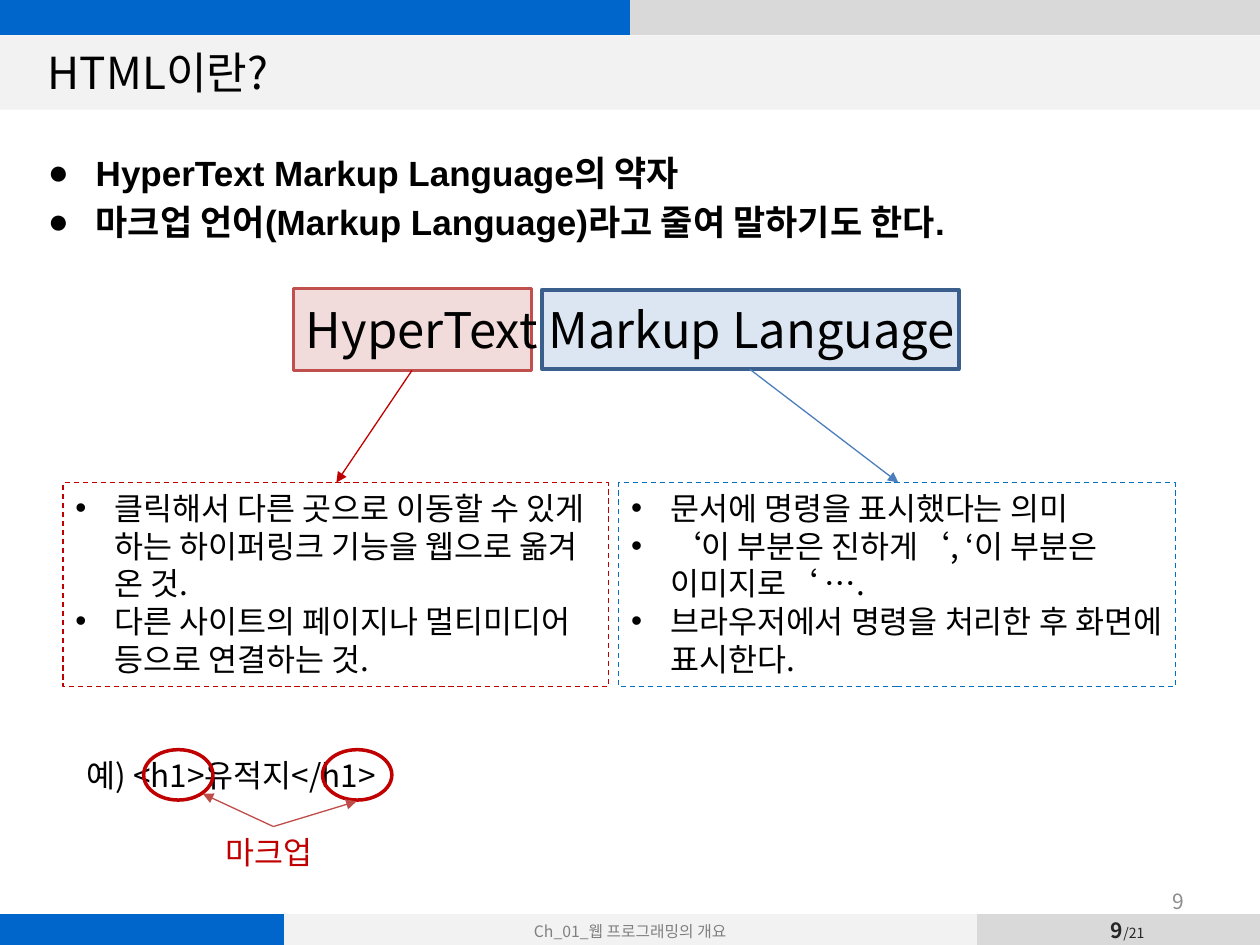
from dataclasses import dataclass
from typing import Optional

import pptx
import pptx.util
from lxml import etree
from pptx.dml.color import RGBColor
from pptx.enum.dml import MSO_LINE
from pptx.enum.shapes import MSO_CONNECTOR, MSO_SHAPE
from pptx.enum.text import MSO_ANCHOR, MSO_AUTO_SIZE, PP_ALIGN
from pptx.oxml.ns import qn

Inches = pptx.util.Inches
Pt = pptx.util.Pt

SANS = "Noto Sans CJK KR"
BLACK = RGBColor(0x00, 0x00, 0x00)
DARK_GRAY = RGBColor(0x26, 0x26, 0x26)
GRAY = RGBColor(0x80, 0x80, 0x80)
NUMBER_GRAY = RGBColor(0x8C, 0x8C, 0x8C)
LIGHT_GRAY = RGBColor(0xD9, 0xD9, 0xD9)
PALE_GRAY = RGBColor(0xF2, 0xF2, 0xF2)
BAR_BLUE = RGBColor(0x00, 0x66, 0xCC)
RED = RGBColor(0xC0, 0x00, 0x00)
BRICK = RGBColor(0xC0, 0x50, 0x4D)
SOFT_BRICK = RGBColor(0xBF, 0x4C, 0x48)
PALE_RED = RGBColor(0xF2, 0xDC, 0xDB)
NAVY = RGBColor(0x3A, 0x5F, 0x8C)
PALE_BLUE = RGBColor(0xDC, 0xE6, 0xF2)
ARROW_BLUE = RGBColor(0x4B, 0x7E, 0xBC)
DASH_BLUE = RGBColor(0x00, 0x70, 0xC0)
PLAIN_TABLE_STYLE = "{2D5ABB26-0587-4C30-8999-92F81FD0307C}"


@dataclass
class Box:
    left: float
    top: float
    width: float
    height: float
    line: Optional[RGBColor] = None
    line_width: float = 2
    fill: Optional[RGBColor] = None
    kind: MSO_SHAPE = MSO_SHAPE.RECTANGLE
    dashed: bool = False

    def lengths(self) -> list:
        return [Inches(v) for v in (self.left, self.top, self.width, self.height)]


@dataclass
class Arrow:
    start: tuple
    end: tuple
    color: RGBColor


@dataclass
class Note:
    box: Box
    lines: list


BANDS = [
    Box(0, 0.28, 10, 0.59, fill=PALE_GRAY),
]
TERM_BOXES = [
    Box(2.33, 2.29, 1.89, 0.65, BRICK, fill=PALE_RED),
    Box(4.3, 2.3, 3.31, 0.63, NAVY, fill=PALE_BLUE),
]
NOTES = [
    Note(Box(0.5, 3.83, 4.33, 1.62, RED, 0.75, dashed=True), [
        "클릭해서 다른 곳으로 이동할 수 있게 하는 하이퍼링크 기능을 웹으로 옮겨 온 것.",
        "다른 사이트의 페이지나 멀티미디어 등으로 연결하는 것.",
    ]),
    Note(Box(4.91, 3.83, 4.42, 1.62, DASH_BLUE, 0.75, dashed=True), [
        "문서에 명령을 표시했다는 의미",
        "‘이 부분은 진하게‘, ‘이 부분은 이미지로‘ ….",
        "브라우저에서 명령을 처리한 후 화면에 표시한다.",
    ]),
]
TAG_RINGS = [Box(left, 5.95, 0.55, 0.4, RED, kind=MSO_SHAPE.OVAL)
             for left in (1.14, 2.56)]
ARROWS = [
    Arrow((3.27, 2.94), (2.67, 3.83), RED),
    Arrow((5.95, 2.93), (7.13, 3.83), ARROW_BLUE),
    Arrow((2.17, 6.56), (1.61, 6.3), SOFT_BRICK),
    Arrow((2.17, 6.56), (2.83, 6.36), SOFT_BRICK),
]


def add_run(paragraph, text: str, *, size: float, color: RGBColor = BLACK,
            font: str = SANS, bold: bool = False) -> None:
    run = paragraph.add_run()
    run.text = text
    run.font.size = Pt(size)
    run.font.name = font
    run.font.bold = bold
    run.font.color.rgb = color
    east_asian = etree.SubElement(run.font._element, qn("a:ea"))
    east_asian.set("typeface", SANS)


def write(frame, *lines: str, align=PP_ALIGN.LEFT, anchor=MSO_ANCHOR.TOP,
          bullet: str = "", indent: float = 0, wrap: bool = True, **run_format) -> None:
    """Fill a text frame with one paragraph per line."""
    frame.word_wrap = wrap
    frame.auto_size = MSO_AUTO_SIZE.NONE
    frame.vertical_anchor = anchor
    for index, line in enumerate(lines):
        paragraph = frame.add_paragraph() if index else frame.paragraphs[0]
        paragraph.alignment = align
        add_run(paragraph, line, **run_format)
        if bullet:
            properties = paragraph._p.get_or_add_pPr()
            properties.set("marL", str(Inches(indent)))
            properties.set("indent", str(-Inches(indent)))
            etree.SubElement(properties, qn("a:buFont")).set("typeface", "Arial")
            etree.SubElement(properties, qn("a:buChar")).set("char", bullet)


def add_text(slide, box: Box, *lines: str, **text_format):
    shape = slide.shapes.add_textbox(*box.lengths())
    write(shape.text_frame, *lines, **text_format)
    return shape


def add_box(slide, box: Box):
    shape = slide.shapes.add_shape(box.kind, *box.lengths())
    shape.shadow.inherit = False
    if box.fill is None:
        shape.fill.background()
    else:
        shape.fill.solid()
        shape.fill.fore_color.rgb = box.fill
    if box.line is None:
        shape.line.fill.background()
    else:
        shape.line.color.rgb = box.line
        shape.line.width = Pt(box.line_width)
    if box.dashed:
        shape.line.dash_style = MSO_LINE.DASH
    return shape


def add_arrow(slide, arrow: Arrow) -> None:
    points = [Inches(v) for v in arrow.start + arrow.end]
    connector = slide.shapes.add_connector(MSO_CONNECTOR.STRAIGHT, *points)
    connector.line.color.rgb = arrow.color
    connector.line.width = Pt(0.75)
    tail = etree.SubElement(connector.line._get_or_add_ln(), qn("a:tailEnd"))
    tail.set("type", "triangle")
    etree.SubElement(connector._element.spPr, qn("a:effectLst"))


def add_color_bar(slide, top: float, height: float, widths: list, fills: list):
    """Draw a one-row table of plain coloured cells."""
    frame = slide.shapes.add_table(1, len(widths), 0, Inches(top),
                                   Inches(sum(widths)), Inches(height))
    table = frame.table
    table.first_row = table.horz_banding = False
    table._tbl.tblPr.find(qn("a:tableStyleId")).text = PLAIN_TABLE_STYLE
    table.rows[0].height = Inches(height)
    for column, cell, width, fill in zip(table.columns, table.rows[0].cells, widths, fills):
        column.width = Inches(width)
        cell.fill.solid()
        cell.fill.fore_color.rgb = fill
        cell.margin_left = cell.margin_right = cell.margin_top = cell.margin_bottom = 0
        cell.vertical_anchor = MSO_ANCHOR.MIDDLE
        end = etree.SubElement(cell.text_frame.paragraphs[0]._p, qn("a:endParaRPr"))
        end.set("sz", "900")
    return table


def place(slide, placeholder, box: Box) -> None:
    """Move a placeholder to its box and in front of the shapes so far."""
    placeholder.left, placeholder.top, placeholder.width, placeholder.height = box.lengths()
    slide.shapes._spTree.append(placeholder._element)


def main() -> None:
    presentation = pptx.Presentation()
    presentation.slide_width, presentation.slide_height = Inches(10), Inches(7.5)
    slide = presentation.slides.add_slide(presentation.slide_layouts[1])
    title, body = slide.shapes.title, slide.placeholders[1]

    for band in BANDS:
        add_box(slide, band)
    add_color_bar(slide, 0, 0.28, [5, 5], [BAR_BLUE, LIGHT_GRAY])
    footer = add_color_bar(slide, 7.25, 0.27, [2.25, 5.5, 0.03, 1.34, 0.91],
                           [BAR_BLUE, PALE_GRAY] + [LIGHT_GRAY] * 3)
    paragraph = footer.cell(0, 1).text_frame.paragraphs[0]
    paragraph.alignment = PP_ALIGN.CENTER
    add_run(paragraph, "Ch_01_웹 프로그래밍의 개요", size=9, color=GRAY)
    counter = add_text(slide, Box(8.47, 7.25, 0.96, 0.26), "9", size=12, bold=True,
                       color=DARK_GRAY, align=PP_ALIGN.CENTER,
                       anchor=MSO_ANCHOR.MIDDLE, wrap=False).text_frame
    counter.margin_left = counter.margin_right = 0
    add_run(counter.paragraphs[0], "/21", size=8, color=DARK_GRAY)

    for box in TERM_BOXES:
        add_box(slide, box)
    place(slide, title, Box(0.28, 0.29, 9.45, 0.56))
    write(title.text_frame, "HTML이란?", size=25.2, anchor=MSO_ANCHOR.MIDDLE)
    place(slide, body, Box(0.28, 1.15, 9.22, 5.83))
    write(body.text_frame, "HyperText Markup Language의 약자",
          "마크업 언어(Markup Language)라고 줄여 말하기도 한다.",
          size=20, font="Arial", bold=True, bullet="●", indent=0.38)
    add_text(slide, Box(7.17, 6.95, 2.33, 0.4), "9", size=12, color=NUMBER_GRAY,
             align=PP_ALIGN.RIGHT, anchor=MSO_ANCHOR.MIDDLE)
    add_text(slide, Box(2.33, 2.33, 5.51, 0.57), "HyperText Markup Language", size=28)

    for note in NOTES:
        write(add_box(slide, note.box).text_frame, *note.lines,
              size=18, bullet="•", indent=0.31)
    add_text(slide, Box(0.59, 5.95, 7.56, 0.4), "예) <h1>유적지</h1>", size=18)
    for ring in TAG_RINGS:
        add_box(slide, ring)
    add_text(slide, Box(1.69, 6.56, 0.96, 0.4), "마크업", size=18, color=RED, wrap=False)
    for arrow in ARROWS:
        add_arrow(slide, arrow)

    presentation.save("out.pptx")


if __name__ == "__main__":
    main()
